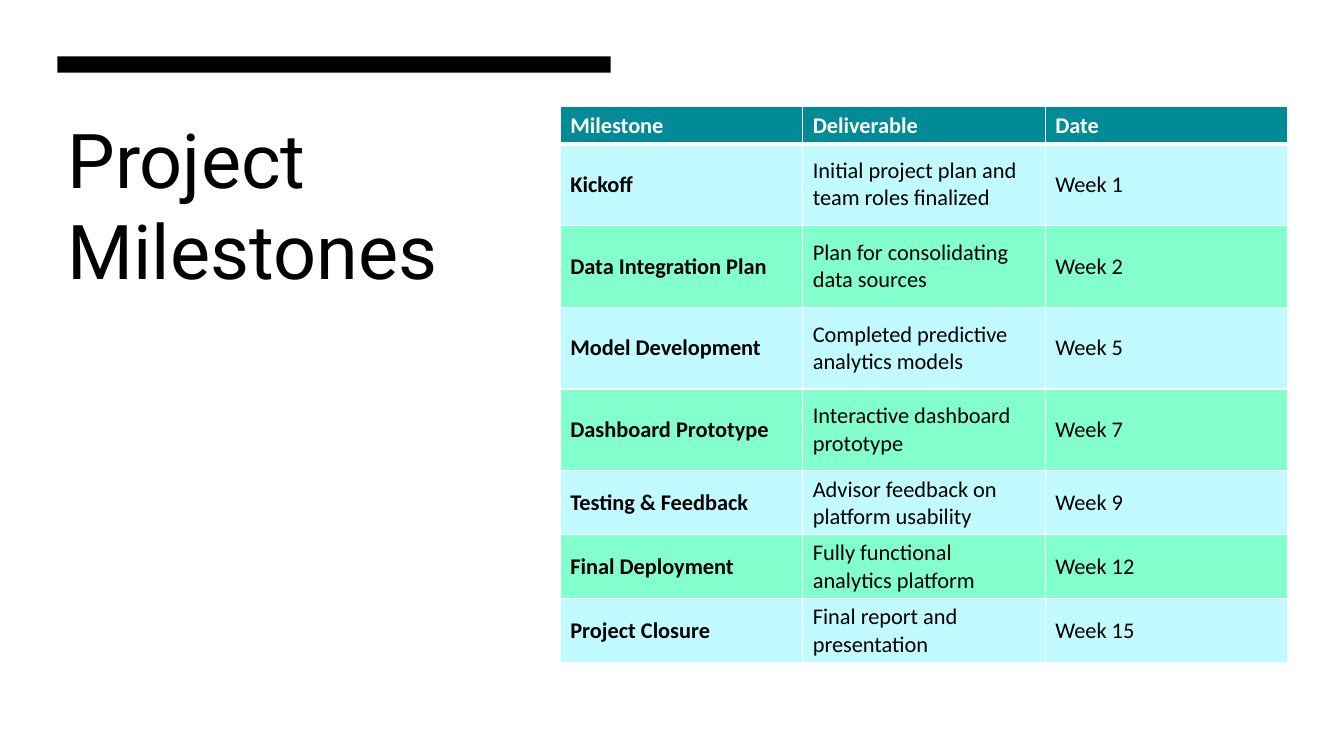
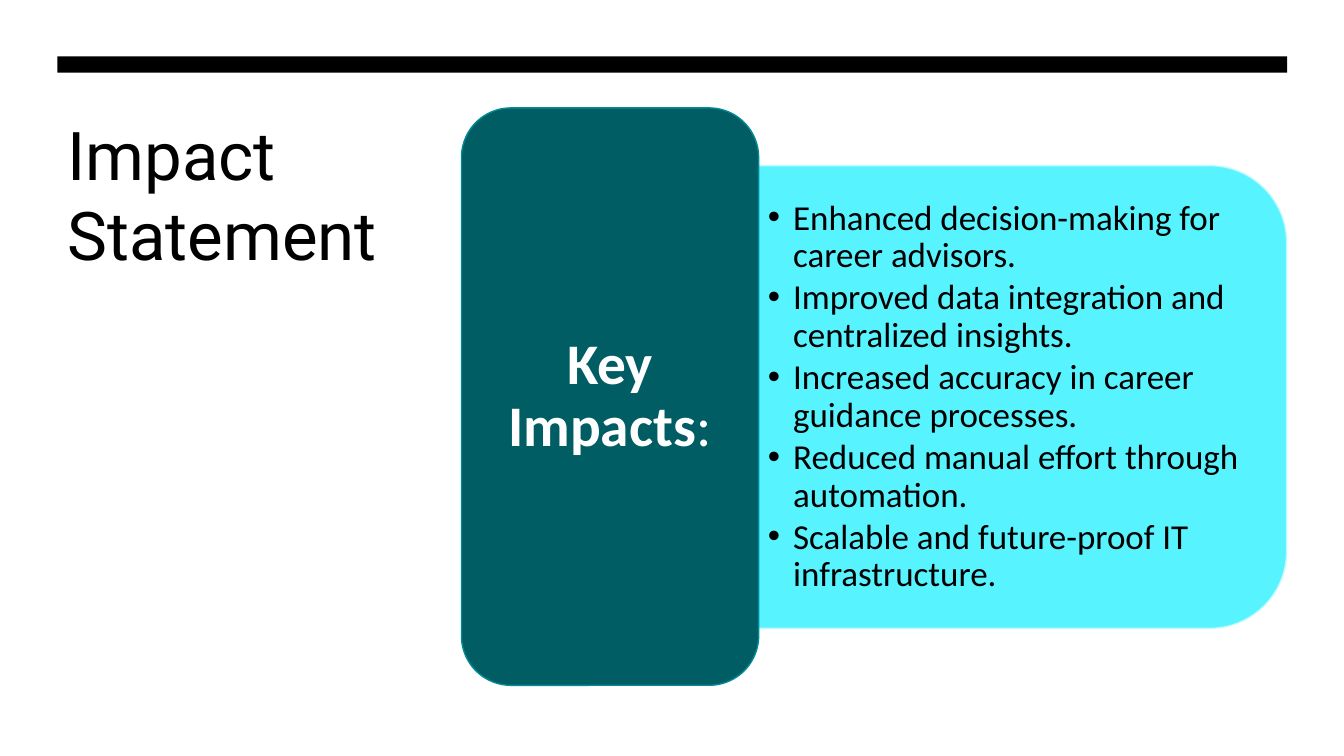
from lxml import etree
from pptx import Presentation
from pptx import util as u
from pptx.dml.color import RGBColor
from pptx.enum import shapes, text
from pptx.oxml.ns import qn

BLACK, WHITE = "000000", "FFFFFF"
TEAL, DEEP_TEAL, CYAN = "008B96", "005D64", "45F2FF"
PALE_CYAN, MINT = "C1FBFF", "83FFCD"
LEFT, TITLE_TOP = 1.45, 2.72

MILESTONES = [
    ("Milestone", "Deliverable", "Date"),
    ("Kickoff", "Initial project plan and team roles finalized", "Week 1"),
    ("Data Integration Plan", "Plan for consolidating data sources", "Week 2"),
    ("Model Development", "Completed predictive analytics models", "Week 5"),
    ("Dashboard Prototype", "Interactive dashboard prototype", "Week 7"),
    ("Testing & Feedback", "Advisor feedback on platform usability", "Week 9"),
    ("Final Deployment", "Fully functional analytics platform", "Week 12"),
    ("Project Closure", "Final report and presentation", "Week 15"),
]
COLUMN_WIDTH = 6.11
ROW_HEIGHTS = [0.81] + [2.06] * 4 + [1.42] * 3

IMPACTS = [
    "Enhanced decision-making for career advisors.",
    "Improved data integration and centralized insights.",
    "Increased accuracy in career guidance processes.",
    "Reduced manual effort through automation.",
    "Scalable and future-proof IT infrastructure.",
]

TITLE = {"name": "Roboto", "color": BLACK}
CELL = {"name": "Calibri", "size": u.Pt(16)}
BULLET = {"name": "Calibri", "size": u.Pt(25), "color": BLACK}
HEADING = {"name": "Calibri", "size": u.Pt(41), "color": WHITE}


def rgb(color):
    return RGBColor.from_string(color)


def box(*lengths):
    return [u.Cm(length) for length in lengths]


def add_run(paragraph, words, **style):
    run = paragraph.add_run()
    run.text = words
    for key, value in style.items():
        if key == "color":
            run.font.color.rgb = rgb(value)
        else:
            setattr(run.font, key, value)


def add_shape(slide, kind, place, fill, line=None):
    shape = slide.shapes.add_shape(kind, *box(*place))
    shape.shadow.inherit = False
    shape.fill.solid()
    shape.fill.fore_color.rgb = rgb(fill)
    if line:
        shape.line.color.rgb = rgb(line)
        shape.line.width = u.Pt(1)
    else:
        shape.line.fill.background()
    return shape


def add_text_frame(slide, place, anchor):
    frame = slide.shapes.add_textbox(*box(*place)).text_frame
    frame.word_wrap = True
    frame.vertical_anchor = anchor
    return frame


def start_slide(deck, title, size, title_width, title_height, bar_width):
    """Add a slide with the black bar and the title below it."""
    slide = deck.slides.add_slide(deck.slide_layouts[6])
    add_shape(slide, shapes.MSO_SHAPE.RECTANGLE, (LEFT, 1.42, bar_width, 0.41), BLACK)
    frame = add_text_frame(slide, (LEFT, TITLE_TOP, title_width, title_height),
                           text.MSO_ANCHOR.TOP)
    add_run(frame.paragraphs[0], title, size=u.Pt(size), **TITLE)
    return slide


def set_borders(cell, widths):
    """Draw white borders; widths gives points for left, right, top, bottom."""
    properties = cell._tc.get_or_add_tcPr()
    for side, width in zip("LRTB", widths):
        line = etree.SubElement(properties, qn(f"a:ln{side}"), w=str(u.Pt(width)))
        fill = etree.SubElement(line, qn("a:solidFill"))
        etree.SubElement(fill, qn("a:srgbClr"), val=WHITE)


def set_opacity(shape, percent):
    for color in shape._element.spPr.iter(qn("a:srgbClr")):
        etree.SubElement(color, qn("a:alpha"), val=str(percent * 1000))


def add_bullet(paragraph, indent):
    properties = paragraph._p.get_or_add_pPr()
    properties.set("marL", str(u.Cm(indent)))
    properties.set("indent", str(-u.Cm(indent)))
    etree.SubElement(properties, qn("a:buFont"), typeface="Arial")
    etree.SubElement(properties, qn("a:buChar"), char="•")


def build_milestones(deck):
    slide = start_slide(deck, "Project Milestones", 54, 13.94, 13.54, 13.94)
    place = box(14.12, 2.69, 3 * COLUMN_WIDTH, sum(ROW_HEIGHTS))
    table = slide.shapes.add_table(len(MILESTONES), 3, *place).table
    for column in table.columns:
        column.width = u.Cm(COLUMN_WIDTH)
    for r, (entries, height) in enumerate(zip(MILESTONES, ROW_HEIGHTS)):
        table.rows[r].height = u.Cm(height)
        header = r == 0
        fill = TEAL if header else (MINT, PALE_CYAN)[r % 2]
        for c, words in enumerate(entries):
            cell = table.cell(r, c)
            set_borders(cell, (1, 1, 3 if r == 1 else 1, 3 if header else 1))
            cell.fill.solid()
            cell.fill.fore_color.rgb = rgb(fill)
            cell.vertical_anchor = text.MSO_ANCHOR.MIDDLE
            add_run(cell.text_frame.paragraphs[0], words, bold=header or c == 0,
                    color=WHITE if header else BLACK, **CELL)


def build_impact(deck):
    slide = start_slide(deck, "Impact Statement", 48, 8.76, 11.3, 30.99)
    panel = add_shape(slide, shapes.MSO_SHAPE.ROUND_2_SAME_RECTANGLE,
                      (19.94, 3.35, 11.66, 13.31), CYAN, PALE_CYAN)
    panel.rotation = 90
    set_opacity(panel, 90)

    frame = add_text_frame(slide, (19.1, 4.75, 12.75, 10.52), text.MSO_ANCHOR.MIDDLE)
    for i, impact in enumerate(IMPACTS):
        paragraph = frame.add_paragraph() if i else frame.paragraphs[0]
        paragraph.line_spacing = 0.9
        paragraph.space_after = u.Pt(3)
        add_bullet(paragraph, 0.64)
        add_run(paragraph, impact, **BULLET)

    heading = add_shape(slide, shapes.MSO_SHAPE.ROUNDED_RECTANGLE,
                        (11.63, TITLE_TOP, 7.49, 14.55), DEEP_TEAL, TEAL).text_frame
    layout = {"word_wrap": True, "vertical_anchor": text.MSO_ANCHOR.MIDDLE,
              "margin_left": u.Cm(0.43), "margin_right": u.Cm(0.43)}
    for key, value in layout.items():
        setattr(heading, key, value)
    paragraph = heading.paragraphs[0]
    paragraph.alignment = text.PP_ALIGN.CENTER
    paragraph.line_spacing = 0.9
    add_run(paragraph, "Key Impacts", bold=True, **HEADING)
    add_run(paragraph, ":", bold=False, **HEADING)


def main():
    deck = Presentation()
    deck.slide_width, deck.slide_height = box(33.87, 19.05)
    build_milestones(deck)
    build_impact(deck)
    deck.save("out.pptx")


if __name__ == "__main__":
    main()
